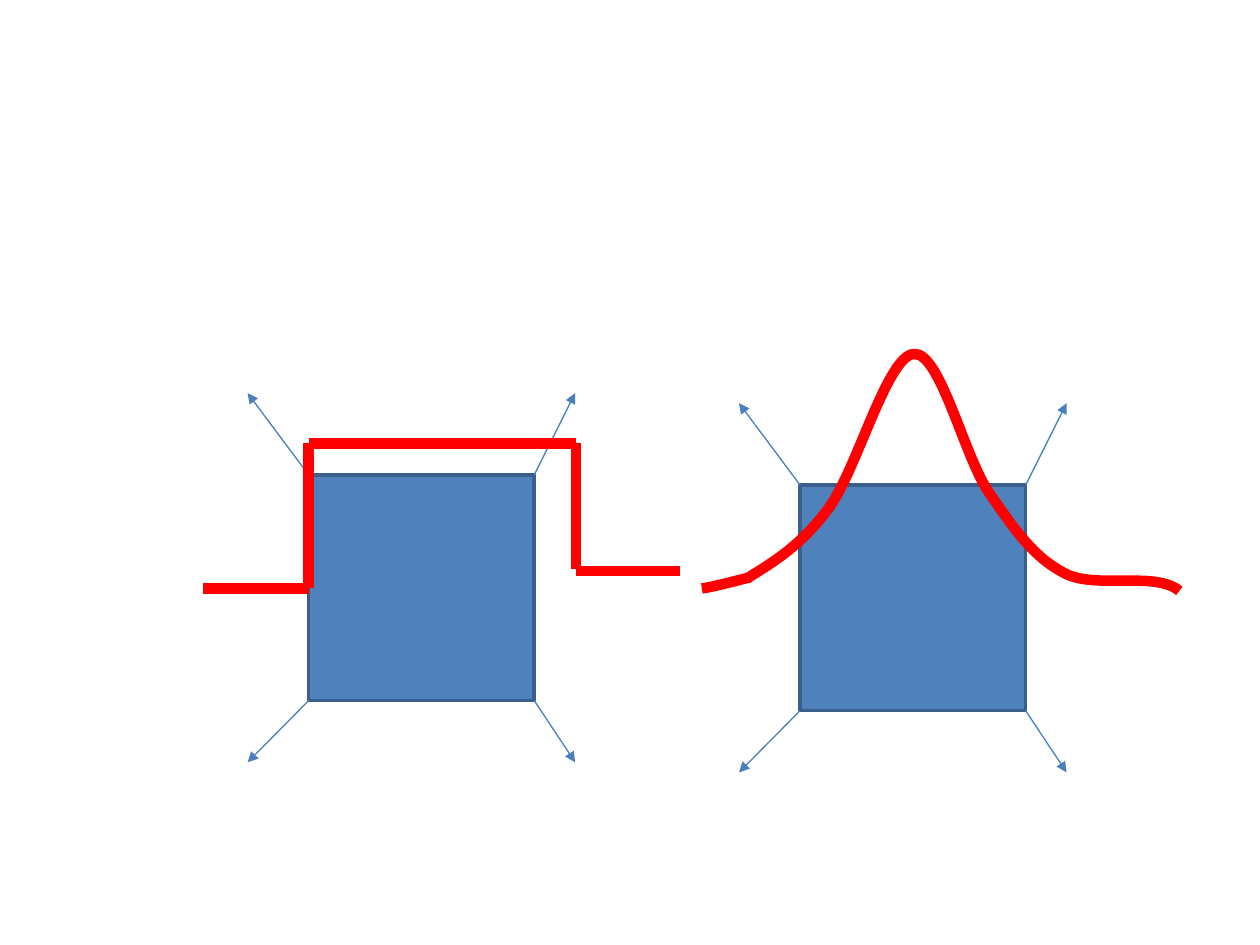
from lxml.etree import SubElement as Sub
from pptx import Presentation
from pptx.dml.color import RGBColor as Rgb
from pptx.enum.shapes import MSO_CONNECTOR as Conn, MSO_SHAPE as Kind
from pptx.oxml.ns import qn
from pptx.util import Inches, Pt

# Content: lengths in cells of a 100 by 75 grid
COLS, ROWS = 100, 75
SIDE = 17.9
BOXES = [(24.5, 37.7), (63.5, 38.5)]
# Box corner (column, row) and the reach of its arrow
RAYS = [((0, 1), (-4.85, 4.9)), ((0, 0), (-4.85, -6.5)),
        ((1, 0), (3.25, -6.5)), ((1, 1), (3.25, 4.9))]
PULSE = [((16.1, 46.7), (24.5, 46.7)), ((24.5, 46.7), (24.5, 35.2)),
         ((24.5, 35.2), (45.7, 35.2)), ((45.7, 35.2), (45.7, 45.2)),
         ((45.7, 45.3), (54, 45.3))]
# Start point, then three points for each Bezier arc
BELL = [(59.3, 45.9),
        (61.4, 44.6), (63.6, 43.3), (65.8, 40.3),
        (68, 37.3), (70.4, 28.3), (72.5, 28.1),
        (74.6, 27.8), (76.5, 36.2), (78.5, 39.1),
        (80.5, 42), (82, 44.2), (84.5, 45.5),
        (87, 46.8), (91.7, 45.3), (93.6, 46.9)]
FOOT = [(59.6, 45.8), (58, 46.2), (56.5, 46.6), (55.7, 46.7)]

THEME = {"fill": "4F81BD", "edge": ("3A5F8C", 2),
         "ray": ("4B7EBC", 0.75), "wave": ("FF0000", 6)}

deck = Presentation()
deck.slide_width, deck.slide_height = Inches(10), Inches(7.5)
slide = deck.slides.add_slide(deck.slide_layouts[6])


def place(x, y):
    return round(deck.slide_width * x / COLS), round(deck.slide_height * y / ROWS)


def ink(line, style):
    color, width = THEME[style]
    line.color.rgb = Rgb.from_string(color)
    line.width = Pt(width)


def stroke(group, start, end, style, arrow=False):
    item = group.shapes.add_connector(Conn.STRAIGHT, *place(*start), *place(*end))
    ink(item.line, style)
    if arrow:
        Sub(item.line._get_or_add_ln(), qn("a:tailEnd"), type="triangle")
    Sub(item._element.spPr, qn("a:effectLst"))


def curve(points):
    start, *rest = [place(*p) for p in points]
    form = slide.shapes.build_freeform(*start)
    form.add_line_segments(rest, close=False)
    item = form.convert_to_shape()
    item.fill.background()
    item.shadow.inherit = False
    ink(item.line, "wave")
    # Merge each three line steps into one Bezier arc
    track = item._element.spPr.find(".//" + qn("a:path"))
    steps = track.findall(qn("a:lnTo"))
    for i in range(0, len(steps), 3):
        arc = Sub(track, qn("a:cubicBezTo"))
        for step in steps[i:i + 3]:
            arc.append(step[0])
            track.remove(step)


# Boxes with arrows out of their corners
for left, top in BOXES:
    group = slide.shapes.add_group_shape()
    box = group.shapes.add_shape(Kind.RECTANGLE, *place(left, top), *place(SIDE, SIDE))
    box.shadow.inherit = False
    box.fill.solid()
    box.fill.fore_color.rgb = Rgb.from_string(THEME["fill"])
    ink(box.line, "edge")
    for (col, row), (dx, dy) in RAYS:
        x, y = left + col * SIDE, top + row * SIDE
        stroke(group, (x, y), (x + dx, y + dy), "ray", arrow=True)

# Square pulse
group = slide.shapes.add_group_shape()
for start, end in PULSE:
    stroke(group, start, end, "wave")

# Bell curve and its left foot
for points in (BELL, FOOT):
    curve(points)

deck.save("out.pptx")
